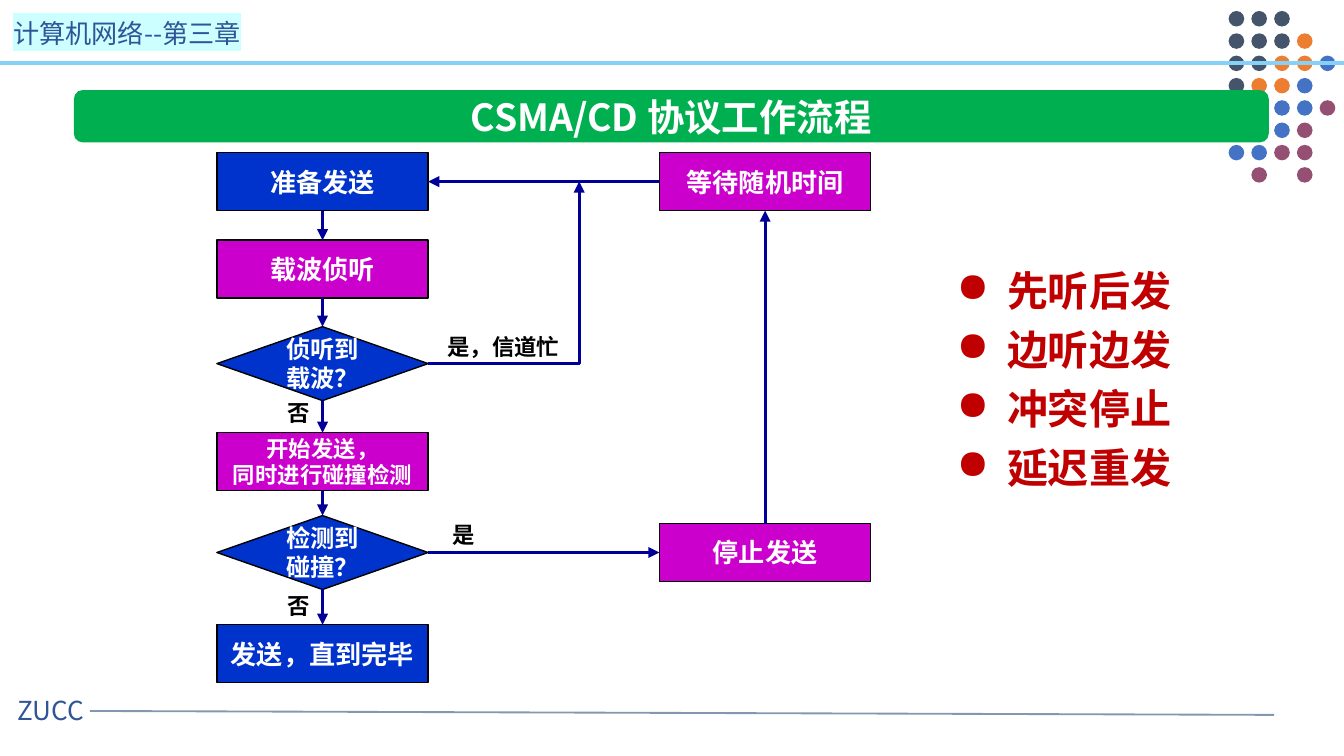
from dataclasses import dataclass
from typing import NamedTuple

from lxml import etree
from pptx import Presentation
from pptx.dml.color import RGBColor
from pptx.enum.shapes import MSO_CONNECTOR, MSO_SHAPE
from pptx.enum.text import MSO_ANCHOR, MSO_AUTO_SIZE, PP_ALIGN
from pptx.oxml.ns import qn
from pptx.util import Pt

RECTANGLE, DIAMOND = MSO_SHAPE.RECTANGLE, MSO_SHAPE.DIAMOND
ROUNDED, OVAL = MSO_SHAPE.ROUNDED_RECTANGLE, MSO_SHAPE.OVAL
STRAIGHT, ELBOW = MSO_CONNECTOR.STRAIGHT, MSO_CONNECTOR.ELBOW
LEFT, CENTER = PP_ALIGN.LEFT, PP_ALIGN.CENTER
MIDDLE = MSO_ANCHOR.MIDDLE
GROW = MSO_AUTO_SIZE.SHAPE_TO_FIT_TEXT
TOP_SIDE, LEFT_SIDE, BOTTOM_SIDE, RIGHT_SIDE = range(4)


@dataclass(frozen=True)
class Theme:
    font: str = "Noto Sans CJK SC"
    header: str = "2F5597"
    highlight: str = "CCFFFF"
    header_rule: str = "85D1F7"
    footer_rule: str = "8497B0"
    banner: str = "00B050"
    blue: str = "0033CC"
    magenta: str = "CC00CC"
    arrow: str = "000099"
    black: str = "000000"
    white: str = "FFFFFF"
    red: str = "C00000"
    title_size: float = 20
    point_size: float = 22
    step_size: float = 14
    decision_size: float = 13
    label_size: float = 12


THEME = Theme()
DOT_COLORS = {"N": "44546A", "O": "ED7D31", "B": "4472C4", "P": "954F72"}
DOT_ROWS = ["NNN", "NNNO", "NNOOB", "NOOB", "  BBP", "  BP", "BBPP", " P P"]


class Step(NamedTuple):
    name: str
    lines: list[str]
    left: float
    top: float
    color: str
    size: float = THEME.step_size
    kind: int = RECTANGLE


class Link(NamedTuple):
    start: str
    start_side: int
    end: str
    end_side: int


class Label(NamedTuple):
    text: str
    left: float
    top: float
    width: float


MAIN_LEFT, SIDE_LEFT = 116.2, 353.3
STEP_WIDTH, STEP_HEIGHT, DECISION_HEIGHT = 113.2, 31, 39.6

STEPS = [
    Step("prepare", ["准备发送"], MAIN_LEFT, 81.8, THEME.blue),
    Step("listen", ["载波侦听"], MAIN_LEFT, 128.7, THEME.magenta),
    Step("carrier", ["侦听到载波？"], MAIN_LEFT, 175, THEME.blue, THEME.decision_size, DIAMOND),
    Step("send", ["开始发送，", "同时进行碰撞检测"], MAIN_LEFT, 231.8, THEME.magenta,
         THEME.label_size),
    Step("collision", ["检测到碰撞？"], MAIN_LEFT, 276.2, THEME.blue, THEME.decision_size, DIAMOND),
    Step("finish", ["发送，直到完毕"], MAIN_LEFT, 334.7, THEME.blue),
    Step("stop", ["停止发送"], SIDE_LEFT, 280.5, THEME.magenta),
    Step("wait", ["等待随机时间"], SIDE_LEFT, 81.8, THEME.magenta),
]
MAIN_FLOW = ["prepare", "listen", "carrier", "send", "collision", "finish"]
LINKS = [Link(start, BOTTOM_SIDE, end, TOP_SIDE)
         for start, end in zip(MAIN_FLOW, MAIN_FLOW[1:])] + [
    Link("collision", RIGHT_SIDE, "stop", LEFT_SIDE),
    Link("stop", TOP_SIDE, "wait", BOTTOM_SIDE),
    Link("wait", LEFT_SIDE, "prepare", RIGHT_SIDE),
]
LABELS = [
    Label("是，信道忙", 232.6, 175, 75),
    Label("是", 235.4, 275.8, 26.6),
    Label("否", 146.9, 313.9, 26.6),
    Label("否", 146.9, 210.2, 26.6),
]
POINTS = ["先听后发", "边听边发", "冲突停止", "延迟重发"]


def add_run(paragraph, text: str, size: float, color: str, bold: bool = True):
    run = paragraph.add_run()
    run.text = text
    run.font.size = Pt(size)
    run.font.bold = bold
    run.font.color.rgb = RGBColor.from_string(color)
    run.font.name = THEME.font
    latin = run.font._element.find(qn("a:latin"))
    east_asian = etree.Element(qn("a:ea"), typeface=THEME.font)
    latin.addnext(east_asian)
    return run


def write_lines(frame, lines: list[str], size: float, color: str,
                align=LEFT, bold: bool = True) -> list:
    runs = []
    for index, line in enumerate(lines):
        paragraph = frame.add_paragraph() if index else frame.paragraphs[0]
        paragraph.alignment = align
        runs.append(add_run(paragraph, line, size, color, bold))
    return runs


def add_filled(slide, kind: int, left: float, top: float, width: float, height: float,
               color: str, outline: str | None = None):
    shape = slide.shapes.add_shape(kind, Pt(left), Pt(top), Pt(width), Pt(height))
    shape.shadow.inherit = False
    shape.fill.solid()
    shape.fill.fore_color.rgb = RGBColor.from_string(color)
    if outline:
        shape.line.color.rgb = RGBColor.from_string(outline)
        shape.line.width = Pt(0.75)
    else:
        shape.line.fill.background()
    return shape


def add_text_box(slide, left: float, top: float, width: float, height: float, wrap: bool = True):
    frame = slide.shapes.add_textbox(Pt(left), Pt(top), Pt(width), Pt(height)).text_frame
    frame.word_wrap = wrap
    frame.auto_size = GROW
    return frame


def add_line(slide, start: tuple[float, float], end: tuple[float, float], color: str,
             weight: float, kind: int = STRAIGHT, arrow: bool = False):
    connector = slide.shapes.add_connector(kind, *map(Pt, start), *map(Pt, end))
    connector.line.color.rgb = RGBColor.from_string(color)
    connector.line.width = Pt(weight)
    if arrow:
        etree.SubElement(connector.line._get_or_add_ln(), qn("a:tailEnd"), type="triangle")
    etree.SubElement(connector._element.spPr, qn("a:effectLst"))
    return connector


def add_step(slide, step: Step):
    height = DECISION_HEIGHT if step.kind == DIAMOND else STEP_HEIGHT
    shape = add_filled(slide, step.kind, step.left, step.top, STEP_WIDTH, height,
                       step.color, THEME.black)
    shape.text_frame.vertical_anchor = MIDDLE
    write_lines(shape.text_frame, step.lines, step.size, THEME.white, CENTER)
    return shape


def add_bullet(paragraph) -> None:
    paragraph.level = 1
    paragraph.line_spacing = 1.2
    properties = paragraph._p.get_or_add_pPr()
    properties.set("marL", str(Pt(63)))
    properties.set("indent", str(Pt(-27)))
    color = etree.SubElement(properties, qn("a:buClr"))
    etree.SubElement(color, qn("a:srgbClr"), val=THEME.red)
    etree.SubElement(properties, qn("a:buChar"), char="●")


def main() -> None:
    presentation = Presentation()
    presentation.slide_width, presentation.slide_height = Pt(720), Pt(405)
    slide = presentation.slides.add_slide(presentation.slide_layouts[6])

    # Header and footer
    add_line(slide, (48.2, 380.9), (682.6, 383), THEME.footer_rule, 1)
    footer = add_text_box(slide, 2.2, 368.6, 64, 24.5)
    write_lines(footer, ["ZUCC"], THEME.step_size, THEME.header, bold=False)
    header = add_text_box(slide, 0, 5.8, 155.5, 24.5)
    run, = write_lines(header, ["计算机网络--第三章"], THEME.step_size, THEME.header, bold=False)
    highlight = etree.Element(qn("a:highlight"))
    etree.SubElement(highlight, qn("a:srgbClr"), val=THEME.highlight)
    run.font._element.find(qn("a:solidFill")).addnext(highlight)

    # Corner dots
    for row, codes in enumerate(DOT_ROWS):
        for column, code in enumerate(codes):
            if code in DOT_COLORS:
                add_filled(slide, OVAL, 658.2 + 12.2 * column, 5.9 + 11.95 * row, 8.4, 8.3,
                           DOT_COLORS[code])
    add_line(slide, (0, 33.8), (720, 33.8), THEME.header_rule, 2)

    # Title banner
    add_filled(slide, ROUNDED, 39.6, 48.3, 640.1, 28, THEME.banner)
    title = add_text_box(slide, 238.3, 46.8, 242.6, 31.7, wrap=False)
    write_lines(title, ["CSMA/CD 协议工作流程"], THEME.title_size, THEME.white, CENTER)

    # Flowchart
    shapes = {step.name: add_step(slide, step) for step in STEPS}
    for link in LINKS:
        connector = add_line(slide, (0, 0), (0, 0), THEME.arrow, 1.5, arrow=True)
        connector.begin_connect(shapes[link.start], link.start_side)
        connector.end_connect(shapes[link.end], link.end_side)
    busy = add_line(slide, (229.4, 194.8), (310.3, 97.3), THEME.arrow, 1.5, ELBOW, arrow=True)
    busy._element.spPr.find(qn("a:prstGeom")).set("prst", "bentConnector2")
    for label in LABELS:
        frame = add_text_box(slide, label.left, label.top, label.width, 21.6, wrap=False)
        write_lines(frame, [label.text], THEME.label_size, THEME.black)

    # Key points
    points = add_text_box(slide, 469.4, 133.2, 250, 135.4)
    write_lines(points, POINTS, THEME.point_size, THEME.red)
    for paragraph in points.paragraphs:
        add_bullet(paragraph)

    presentation.save("out.pptx")


if __name__ == "__main__":
    main()
